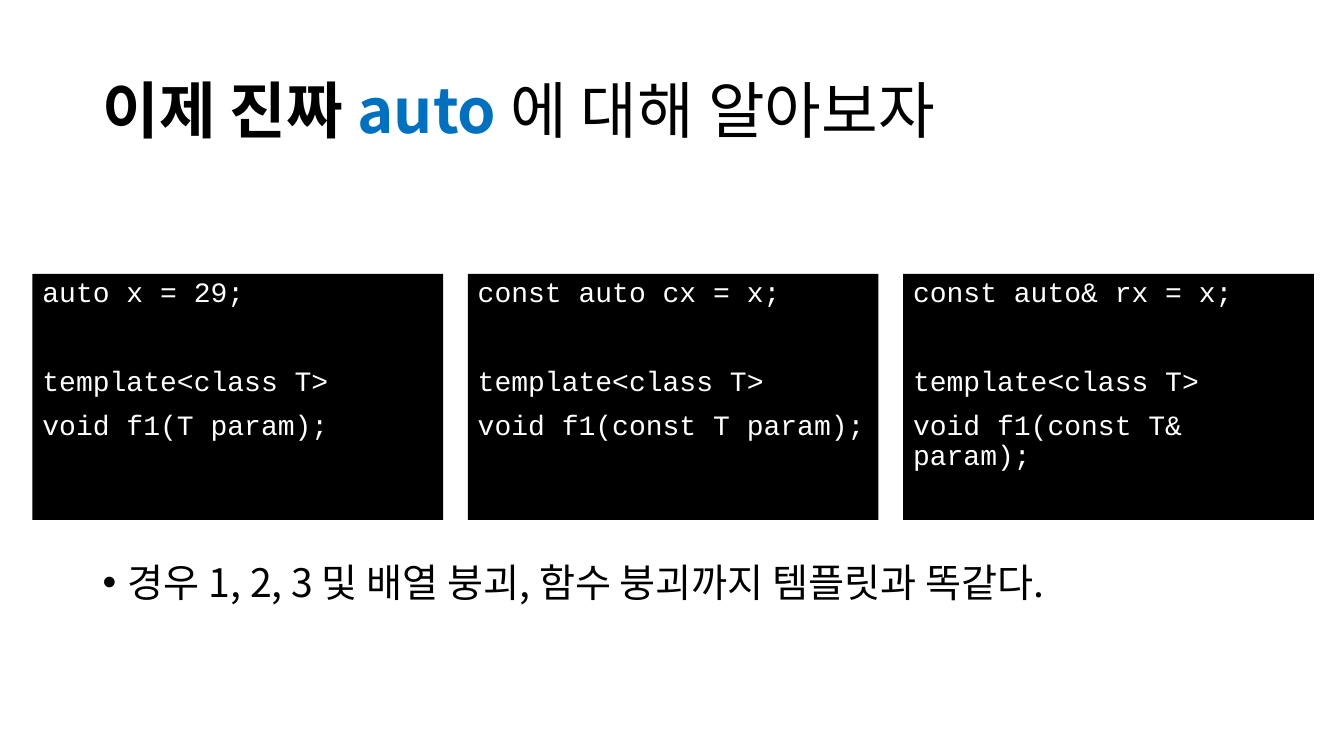
import dataclasses

import pptx
import pptx.dml.color
import pptx.enum.shapes
import pptx.enum.text
import pptx.oxml.ns
import pptx.util
from lxml import etree

Cm = pptx.util.Cm
Pt = pptx.util.Pt
PP_ALIGN = pptx.enum.text.PP_ALIGN
ANCHOR = pptx.enum.text.MSO_ANCHOR


@dataclasses.dataclass(frozen=True)
class Theme:
    text: str = "000000"
    keyword: str = "0070C0"
    code_fill: str = "000000"
    code_text: str = "FFFFFF"
    prose_font: str = "Noto Sans CJK KR"
    code_font: str = "Courier New"
    title_size: int = 44
    list_size: int = 28
    code_size: int = 20
    line_spacing: float = 0.9
    paragraph_gap: float = 10
    section_gap: float = 41.5


class SlideBuilder:
    def __init__(self, slide, theme):
        self.slide = slide
        self.theme = theme

    def place(self, shape, left, top, width, height):
        shape.left, shape.top = Cm(left), Cm(top)
        shape.width, shape.height = Cm(width), Cm(height)

    def prepare(self, frame, anchor):
        frame.word_wrap = True
        frame.auto_size = pptx.enum.text.MSO_AUTO_SIZE.NONE
        frame.vertical_anchor = anchor

    def format_paragraph(self, paragraph, gap):
        paragraph.alignment = PP_ALIGN.LEFT
        paragraph.line_spacing = self.theme.line_spacing
        paragraph.space_before = Pt(gap)

    def add_run(self, paragraph, text, font, size, color, bold=False):
        run = paragraph.add_run()
        run.text = text
        run.font.name = font
        run.font.size = Pt(size)
        run.font.bold = bold
        run.font.color.rgb = pptx.dml.color.RGBColor.from_string(color)
        east_asian = etree.SubElement(run.font._element, pptx.oxml.ns.qn("a:ea"))
        east_asian.set("typeface", font)

    def title(self, parts, box):
        heading = self.slide.shapes.title
        self.place(heading, *box)
        self.prepare(heading.text_frame, ANCHOR.MIDDLE)
        paragraph = heading.text_frame.paragraphs[0]
        self.format_paragraph(paragraph, 0)
        for text, color, bold in parts:
            self.add_run(paragraph, text, self.theme.prose_font,
                         self.theme.title_size, color, bold)

    def bullet_list(self, items, box):
        body = self.slide.placeholders[1]
        self.place(body, *box)
        frame = body.text_frame
        self.prepare(frame, ANCHOR.TOP)
        for index, item in enumerate(items):
            paragraph = frame.add_paragraph() if index else frame.paragraphs[0]
            self.format_paragraph(paragraph, self.theme.paragraph_gap)
            properties = paragraph._p.get_or_add_pPr()
            properties.set("marL", str(Cm(0.64)))
            properties.set("indent", str(-Cm(0.64)))
            bullet = etree.SubElement(properties, pptx.oxml.ns.qn("a:buChar"))
            bullet.set("char", "•")
            self.add_run(paragraph, item, self.theme.prose_font,
                         self.theme.list_size, self.theme.text)

    def code_card(self, sections, box):
        """Draw a code panel; a wider gap separates its sections."""
        card = self.slide.shapes.add_shape(
            pptx.enum.shapes.MSO_SHAPE.RECTANGLE, *(Cm(length) for length in box))
        card.shadow.inherit = False
        card.fill.solid()
        card.fill.fore_color.rgb = pptx.dml.color.RGBColor.from_string(
            self.theme.code_fill)
        card.line.fill.background()
        frame = card.text_frame
        self.prepare(frame, ANCHOR.TOP)
        paragraph = frame.paragraphs[0]
        for section_index, lines in enumerate(sections):
            for line_index, line in enumerate(lines):
                if section_index or line_index:
                    paragraph = frame.add_paragraph()
                starts_section = section_index and not line_index
                self.format_paragraph(
                    paragraph, self.theme.section_gap if starts_section
                    else self.theme.paragraph_gap)
                self.add_run(paragraph, line, self.theme.code_font,
                             self.theme.code_size, self.theme.code_text)


def main():
    deck = pptx.Presentation()
    deck.slide_width, deck.slide_height = Cm(33.87), Cm(19.05)
    theme = Theme()
    builder = SlideBuilder(deck.slides.add_slide(deck.slide_layouts[1]), theme)

    builder.title([("이제 진짜 ", theme.text, True),
                   ("auto ", theme.keyword, True),
                   ("에 대해 알아보자", theme.text, False)],
                  (2.33, 1.01, 29.21, 3.68))

    deductions = [("auto x = 29;", "T"),
                  ("const auto cx = x;", "const T"),
                  ("const auto& rx = x;", "const T&")]
    card_left, card_pitch = 0.82, 10.97
    for column, (declaration, parameter_type) in enumerate(deductions):
        builder.code_card(
            [[declaration],
             ["template<class T>", f"void f1({parameter_type} param);"]],
            (card_left + column * card_pitch, 6.9, 10.35, 6.2))

    builder.bullet_list(
        ["경우 1, 2, 3 및 배열 붕괴, 함수 붕괴까지 템플릿과 똑같다."],
        (2.33, 14.07, 29.21, 3.1))
    deck.save("out.pptx")


if __name__ == "__main__":
    main()
